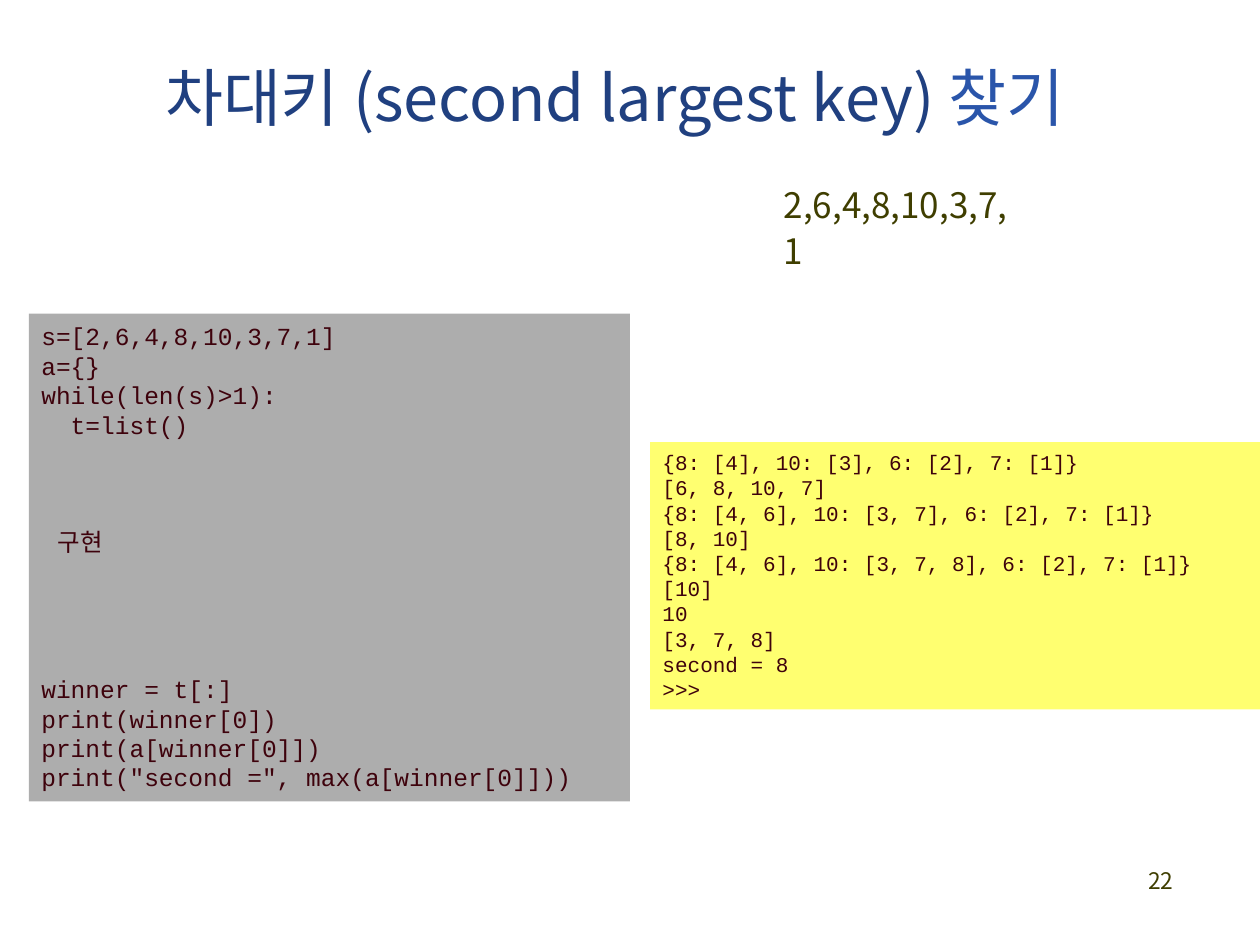
from dataclasses import dataclass

from lxml import etree
from pptx import Presentation
from pptx.dml.color import RGBColor
from pptx.enum.shapes import MSO_SHAPE
from pptx.enum.text import MSO_ANCHOR, PP_ALIGN
from pptx.oxml.ns import qn
from pptx.util import Inches, Pt


@dataclass(frozen=True)
class Theme:
    title: str = "204080"
    accent: str = "2A55AA"
    body: str = "3F3E00"
    code: str = "3E020C"
    code_fill: str = "ADADAD"
    output_fill: str = "FFFF70"
    sans: str = "Noto Sans CJK KR"
    serif: str = "Times New Roman"
    mono: str = "Courier New"
    title_size: int = 36
    numbers_size: int = 20
    code_size: int = 14
    output_size: int = 12
    footer_size: int = 13
    code_leading: float = 1.2


THEME = Theme()

# Each code line is (text, blank lines above, left indent in inches)
CODE = [
    ("s=[2,6,4,8,10,3,7,1]", 0, 0),
    ("a={}", 0, 0),
    ("while(len(s)>1):", 0, 0),
    ("  t=list()", 0, 0),
    ("구현", 3, 0.13),
    ("winner = t[:]", 4, 0),
    ("print(winner[0])", 0, 0),
    ("print(a[winner[0]])", 0, 0),
    ('print("second =", max(a[winner[0]]))', 0, 0),
]

OUTPUT = [(line, 0, 0) for line in (
    "{8: [4], 10: [3], 6: [2], 7: [1]}",
    "[6, 8, 10, 7]",
    "{8: [4, 6], 10: [3, 7], 6: [2], 7: [1]}",
    "[8, 10]",
    "{8: [4, 6], 10: [3, 7, 8], 6: [2], 7: [1]}",
    "[10]",
    "10",
    "[3, 7, 8]",
    "second = 8",
    ">>>",
)]


def set_attributes(target, values):
    for name, value in values.items():
        setattr(target, name, value)


def add_run(paragraph, text, size, color, font_name):
    run = paragraph.add_run()
    run.text = text
    set_attributes(run.font, {"size": Pt(size), "name": font_name})
    run.font.color.rgb = RGBColor.from_string(color)
    # Hangul always uses the sans face
    east_asian = etree.SubElement(run.font._element, qn("a:ea"))
    east_asian.set("typeface", THEME.sans)


def add_text(slide, box, runs, frame_format, paragraph_format):
    """Place one paragraph of styled runs in a text box."""
    frame = slide.shapes.add_textbox(*map(Inches, box)).text_frame
    set_attributes(frame, {"word_wrap": True, **frame_format})
    paragraph = frame.paragraphs[0]
    set_attributes(paragraph, paragraph_format)
    for run in runs:
        add_run(paragraph, *run)


def add_title(slide, box):
    add_text(slide, box, [
        ("차대키 (second largest key) ", THEME.title_size, THEME.title, THEME.sans),
        ("찾기", THEME.title_size, THEME.accent, THEME.serif),
    ], {"vertical_anchor": MSO_ANCHOR.MIDDLE}, {"alignment": PP_ALIGN.CENTER})


def add_numbers(slide, box):
    sides = ("left", "top", "right", "bottom")
    add_text(slide, box,
             [("2,6,4,8,10,3,7,1", THEME.numbers_size, THEME.body, THEME.sans)],
             {f"margin_{side}": Inches(0.04) for side in sides},
             {"line_spacing": Pt(26)})


def add_page_number(slide, box):
    add_text(slide, box, [("22", THEME.footer_size, THEME.body, THEME.sans)],
             {}, {"alignment": PP_ALIGN.RIGHT})


def add_code_panel(slide, box, lines, size, fill):
    """Draw a filled panel of monospaced lines with an even pitch."""
    panel = slide.shapes.add_shape(MSO_SHAPE.RECTANGLE, *map(Inches, box))
    panel.shadow.inherit = False
    panel.fill.solid()
    panel.fill.fore_color.rgb = RGBColor.from_string(fill)
    panel.line.fill.background()
    frame = panel.text_frame
    set_attributes(frame, {
        "word_wrap": True,
        "vertical_anchor": MSO_ANCHOR.TOP,
        "margin_top": Inches(0.06),
    })
    pitch = size * THEME.code_leading
    for index, (text, blank_lines, indent) in enumerate(lines):
        paragraph = frame.add_paragraph() if index else frame.paragraphs[0]
        set_attributes(paragraph, {
            "alignment": PP_ALIGN.LEFT,
            "line_spacing": Pt(pitch),
            "space_before": Pt(blank_lines * pitch),
        })
        if indent:
            paragraph._p.get_or_add_pPr().set("marL", str(Inches(indent)))
        add_run(paragraph, text, size, THEME.code, THEME.mono)


def main():
    presentation = Presentation()
    set_attributes(presentation, {"slide_width": Inches(10),
                                  "slide_height": Inches(7.5)})
    slide = presentation.slides.add_slide(presentation.slide_layouts[6])

    add_page_number(slide, (7.33, 6.83, 2.08, 0.5))
    add_code_panel(slide, (0.23, 2.49, 4.77, 3.87), CODE,
                   THEME.code_size, THEME.code_fill)
    add_numbers(slide, (6.18, 1.39, 1.9, 0.44))
    add_code_panel(slide, (5.16, 3.51, 4.9, 2.12), OUTPUT,
                   THEME.output_size, THEME.output_fill)
    add_title(slide, (0.31, 0.39, 9.14, 0.75))

    presentation.save("out.pptx")


if __name__ == "__main__":
    main()
